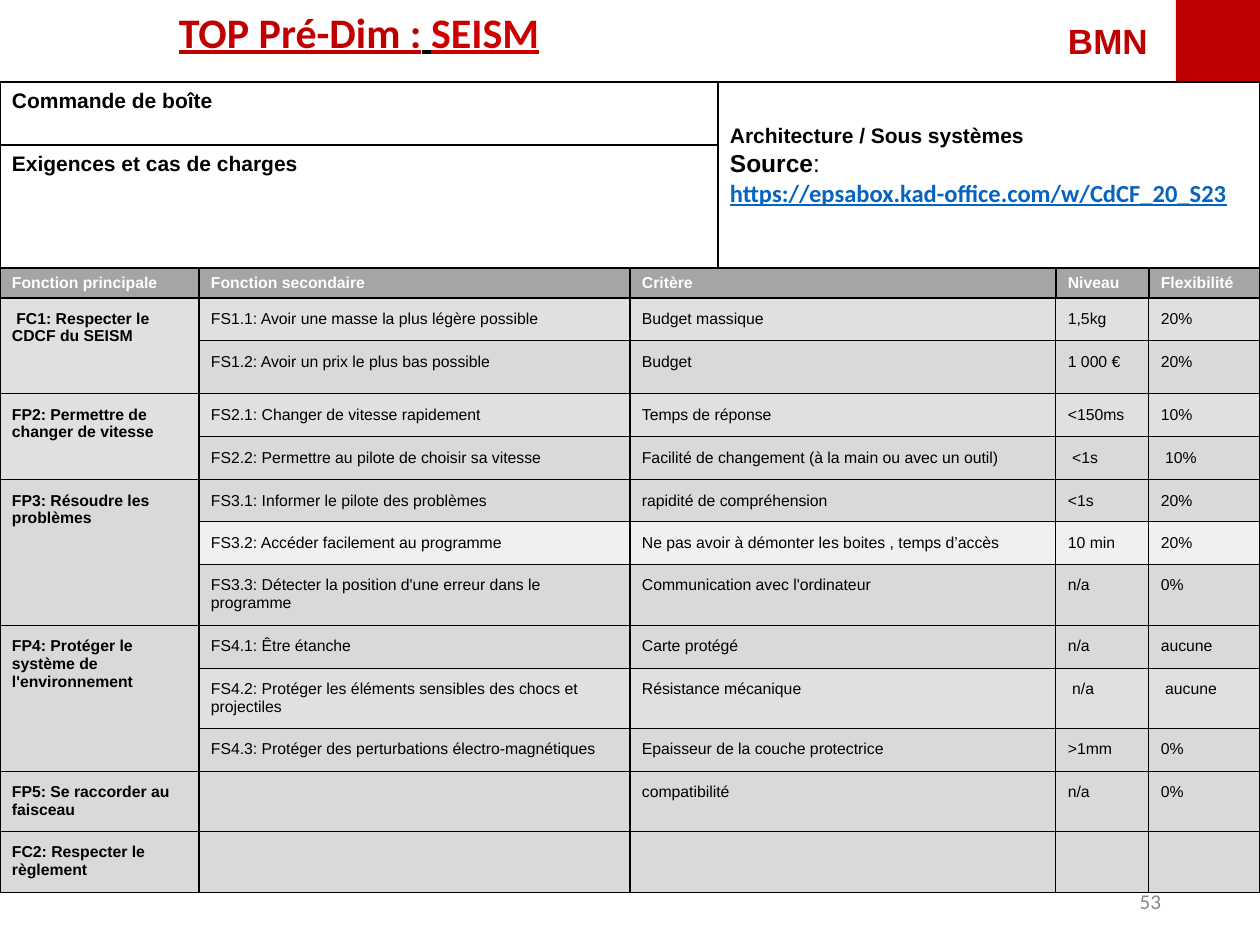
"""Build the SEISM functional requirements slide."""
import lxml.etree
import pptx
import pptx.dml.color
import pptx.enum.shapes
import pptx.enum.text
import pptx.oxml.ns
import pptx.util

PX = 914400 // 126
RED, BLACK, WHITE = "C00000", "000000", "FFFFFF"
HEADER, LIGHT, MEDIUM, PALE = "A5A5A5", "E0E0E0", "D9D9D9", "F0F0F0"
ANCHOR = pptx.enum.text.MSO_ANCHOR
ALIGN = pptx.enum.text.PP_ALIGN

COLUMN_WIDTHS = [199, 431, 426, 93, 111]
ROW_HEIGHTS = [30, 43, 53, 43, 43, 42, 43, 61, 43, 60, 43, 60, 61]
HEADINGS = ["Fonction principale", "Fonction secondaire", "Critère", "Niveau", "Flexibilité"]
FUNCTIONS = [
    (" FC1: Respecter le CDCF du SEISM", LIGHT, [
        (LIGHT, "FS1.1: Avoir une masse la plus légère possible", "Budget massique", "1,5kg", "20%"),
        (MEDIUM, "FS1.2: Avoir un prix le plus bas possible", "Budget", "1 000 €", "20%"),
    ]),
    ("FP2: Permettre de changer de vitesse", LIGHT, [
        (LIGHT, "FS2.1: Changer de vitesse rapidement", "Temps de réponse", "<150ms", "10%"),
        (MEDIUM, "FS2.2: Permettre au pilote de choisir sa vitesse",
         "Facilité de changement (à la main ou avec un outil)", " <1s", " 10%"),
    ]),
    ("FP3: Résoudre les problèmes", MEDIUM, [
        (MEDIUM, "FS3.1: Informer le pilote des problèmes", "rapidité de compréhension", "<1s", "20%"),
        (PALE, "FS3.2: Accéder facilement au programme",
         "Ne pas avoir à démonter les boites , temps d’accès", "10 min", "20%"),
        (MEDIUM, "FS3.3: Détecter la position d'une erreur dans le programme",
         "Communication avec l'ordinateur", "n/a", "0%"),
    ]),
    ("FP4: Protéger le système de l'environnement", MEDIUM, [
        (MEDIUM, "FS4.1: Être étanche", "Carte protégé", "n/a", "aucune"),
        (LIGHT, "FS4.2: Protéger les éléments sensibles des chocs et projectiles",
         "Résistance mécanique", " n/a", " aucune"),
        (MEDIUM, "FS4.3: Protéger des perturbations électro-magnétiques",
         "Epaisseur de la couche protectrice", ">1mm", "0%"),
    ]),
    ("FP5: Se raccorder au faisceau", MEDIUM, [(MEDIUM, "", "compatibilité", "n/a", "0%")]),
    ("FC2: Respecter le règlement", MEDIUM, [(MEDIUM, "", "", "", "")]),
]


def px(*lengths):
    """Turn pixel lengths into a list of EMU."""
    return [pptx.util.Emu(length * PX) for length in lengths]


def rgb(code):
    """Turn a hex string into a colour."""
    return pptx.dml.color.RGBColor.from_string(code)


def write(frame, paragraphs, align=ALIGN.LEFT, **base):
    """Fill a text frame with paragraphs given as lists of (text, changes) runs."""
    if isinstance(paragraphs, str):
        paragraphs = [[(paragraphs, {})]]
    for index, runs in enumerate(paragraphs):
        paragraph = frame.add_paragraph() if index else frame.paragraphs[0]
        paragraph.alignment = align
        for text, changes in runs:
            look = {"size": 12, "font": "Arial", "color": BLACK, "bold": False,
                    "underline": False, **base, **changes}
            run = paragraph.add_run()
            run.text = text
            run.font.size = pptx.util.Pt(look["size"])
            run.font.name = look["font"]
            run.font.bold = look["bold"]
            run.font.underline = look["underline"]
            run.font.color.rgb = rgb(look["color"])


def set_frame(frame, anchor=ANCHOR.TOP, bottom=6):
    """Set wrapping, anchor and insets of a text frame."""
    frame.word_wrap = True
    frame.auto_size = pptx.enum.text.MSO_AUTO_SIZE.NONE
    frame.vertical_anchor = anchor
    frame.margin_left, frame.margin_top, frame.margin_right, frame.margin_bottom = px(12, 6, 12, bottom)


def add_title(slide, box, runs):
    """Move the title placeholder and write the title."""
    title = slide.shapes.title
    title.left, title.top, title.width, title.height = px(*box)
    set_frame(title.text_frame)
    write(title.text_frame, [runs], align=ALIGN.CENTER, size=24, font="Calibri",
          color=RED, bold=True, underline=True)


def add_label(slide, box, text, anchor=ANCHOR.TOP, **look):
    """Add a text box."""
    frame = slide.shapes.add_textbox(*px(*box)).text_frame
    set_frame(frame, anchor)
    write(frame, text, **look)


def add_panel(slide, box, paragraphs="", fill=None, anchor=ANCHOR.TOP, bottom=6):
    """Add a rectangle, either filled or outlined in black."""
    panel = slide.shapes.add_shape(pptx.enum.shapes.MSO_SHAPE.RECTANGLE, *px(*box))
    panel.shadow.inherit = False
    if fill:
        panel.fill.solid()
        panel.fill.fore_color.rgb = rgb(fill)
        panel.line.fill.background()
    else:
        panel.fill.background()
        panel.line.color.rgb = rgb(BLACK)
        panel.line.width = pptx.util.Pt(1)
    if paragraphs:
        set_frame(panel.text_frame, anchor, bottom)
        write(panel.text_frame, paragraphs, bold=True)


def set_borders(cell, **widths):
    """Draw black cell borders, with widths in points by side."""
    properties = cell._tc.get_or_add_tcPr()
    for side, width in widths.items():
        line = lxml.etree.SubElement(properties, pptx.oxml.ns.qn("a:ln" + side),
                                     w=str(pptx.util.Pt(width)))
        solid = lxml.etree.SubElement(line, pptx.oxml.ns.qn("a:solidFill"))
        lxml.etree.SubElement(solid, pptx.oxml.ns.qn("a:srgbClr"), val=BLACK)


def fill_cell(cell, text, fill, inset=12, edge=0.75, **look):
    """Format one table cell and write its text."""
    set_borders(cell, L=edge, R=edge, T=edge, B=0.75)
    cell.fill.solid()
    cell.fill.fore_color.rgb = rgb(fill)
    vertical = inset if text else 0
    cell.margin_left, cell.margin_top, cell.margin_right, cell.margin_bottom = px(12, vertical, 12, vertical)
    if text:
        write(cell.text_frame, text, size=9, **look)


def add_requirements(slide, left, top):
    """Add the table of functions, criteria, levels and flexibility."""
    size = px(left, top, sum(COLUMN_WIDTHS), sum(ROW_HEIGHTS))
    table = slide.shapes.add_table(len(ROW_HEIGHTS), len(COLUMN_WIDTHS), *size).table
    table.horz_banding = False
    for column, width in zip(table.columns, px(*COLUMN_WIDTHS)):
        column.width = width
    for row, height in zip(table.rows, px(*ROW_HEIGHTS)):
        row.height = height
    for column, heading in enumerate(HEADINGS):
        fill_cell(table.cell(0, column), heading, HEADER, inset=6, edge=1, color=WHITE, bold=True)
    first = 1
    for name, name_fill, requirements in FUNCTIONS:
        for row, (fill, *values) in enumerate(requirements, first):
            fill_cell(table.cell(row, 0), name if row == first else "", name_fill, bold=True)
            for column, value in enumerate(values, 1):
                fill_cell(table.cell(row, column), value, fill)
        last = first + len(requirements) - 1
        if last > first:
            table.cell(first, 0).merge(table.cell(last, 0))
        first = last + 1


def main():
    """Build and save the slide."""
    deck = pptx.Presentation()
    deck.slide_width, deck.slide_height = px(1260, 945)
    slide = deck.slides.add_slide(deck.slide_layouts[5])
    add_label(slide, (1056, 13, 121, 55), "BMN", size=20, color=RED, bold=True)
    add_panel(slide, (1176, 0, 84, 81), fill=RED)
    add_title(slide, (0, 0, 718, 63),
              [("TOP Pré-Dim :", {}), (" ", {"color": BLACK}), ("SEISM", {"color": "CC0000"})])
    add_panel(slide, (0, 82, 718, 63), "Commande de boîte")
    add_panel(slide, (0, 145, 718, 123), "Exigences et cas de charges")
    source = [("Source", {"size": 14}), (": ", {"size": 14, "bold": False}),
              ("https://epsabox.kad-office.com/w/CdCF_20_S23",
               {"size": 14, "font": "Calibri", "color": "0563C1", "underline": True})]
    add_panel(slide, (718, 82, 542, 186), [[("Architecture / Sous systèmes", {})], source],
              anchor=ANCHOR.MIDDLE, bottom=26)
    add_requirements(slide, 0, 268)
    add_label(slide, (890, 876, 283, 50), "53", anchor=ANCHOR.MIDDLE, align=ALIGN.RIGHT,
              font="Calibri", color="888888")
    deck.save("out.pptx")


if __name__ == "__main__":
    main()
